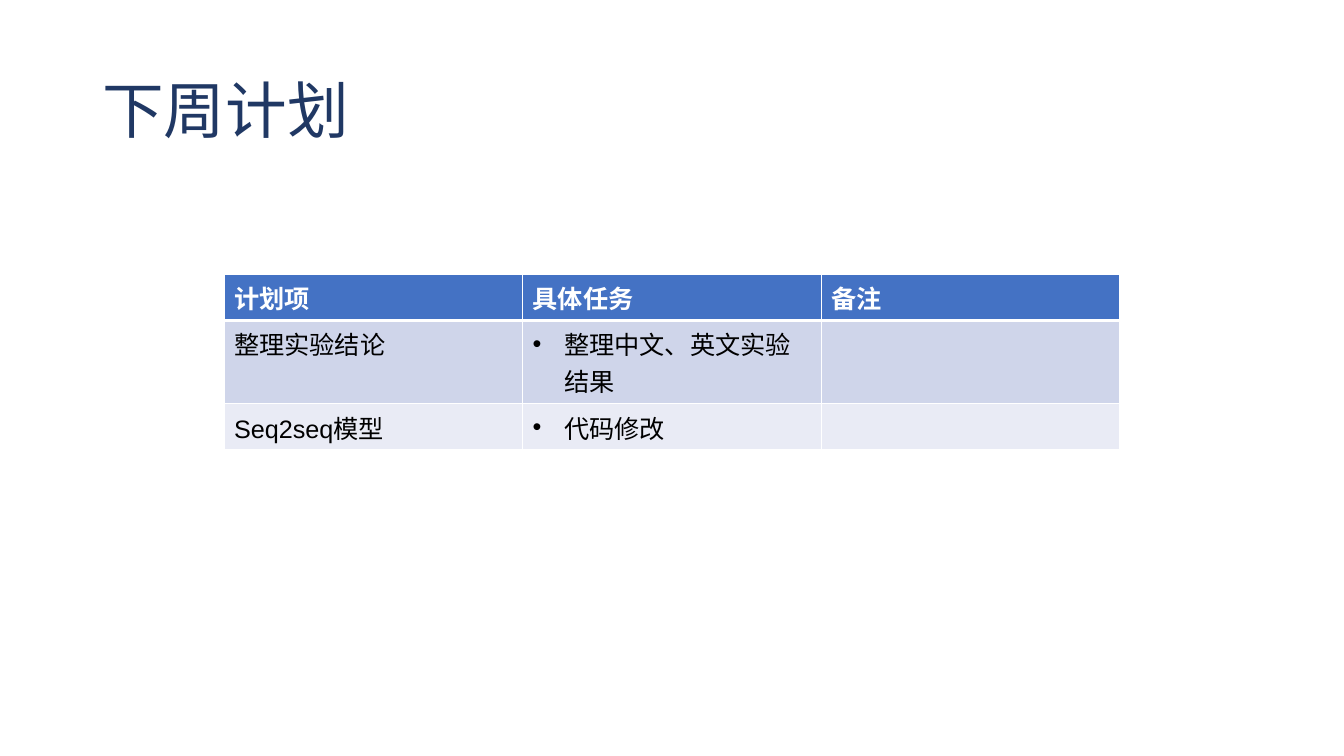
from lxml import etree
from pptx import Presentation
from pptx.dml.color import RGBColor
from pptx.enum.text import MSO_ANCHOR
from pptx.oxml.ns import qn
from pptx.util import Pt

MIDDLE = MSO_ANCHOR.MIDDLE
NAVY = RGBColor(0x20, 0x38, 0x64)
BLUE = RGBColor(0x44, 0x72, 0xC4)
BAND_DARK = RGBColor(0xCF, 0xD5, 0xEA)
BAND_LIGHT = RGBColor(0xE9, 0xEB, 0xF5)
WHITE = RGBColor(0xFF, 0xFF, 0xFF)
BLACK = RGBColor(0x00, 0x00, 0x00)

TASK_COLUMN = 1
PLAN = [
    ["计划项", "具体任务", "备注"],
    ["整理实验结论", "整理中文、英文实验结果", ""],
    ["Seq2seq模型", "代码修改", ""],
]
ROW_HEIGHTS = [Pt(33), Pt(59.5), Pt(32.5)]


class PlanSlide:
    title_font = "Times New Roman"
    body_font = "Arial"
    title_size = Pt(44)
    body_size = Pt(18)
    bullet_indent = Pt(22.5)

    def __init__(self, prs):
        self.s = prs.slides.add_slide(prs.slide_layouts[6])

    def run(self, p, text, font, size, color, bold=False):
        r = p.add_run()
        r.text = text
        r.font.name = font
        r.font.size = size
        r.font.bold = bold
        r.font.color.rgb = color

    def title(self, text, x, y, w, h):
        tf = self.s.shapes.add_textbox(x, y, w, h).text_frame
        tf.word_wrap = True
        tf.vertical_anchor = MIDDLE
        p = tf.paragraphs[0]
        p.line_spacing = 0.9
        self.run(p, text, self.title_font, self.title_size, NAVY)

    def bullet(self, p):
        pPr = p._p.get_or_add_pPr()
        pPr.set("marL", str(self.bullet_indent))
        pPr.set("indent", str(-self.bullet_indent))
        etree.SubElement(pPr, qn("a:buFont")).set("typeface", self.body_font)
        etree.SubElement(pPr, qn("a:buChar")).set("char", "•")

    def borders(self, cell, **widths):
        """Draw white borders; widths maps L, R, T, B to points, in that order."""
        tcPr = cell._tc.get_or_add_tcPr()
        for side, width in widths.items():
            ln = etree.SubElement(tcPr, qn(f"a:ln{side}"), w=str(Pt(width)))
            fill = etree.SubElement(ln, qn("a:solidFill"))
            etree.SubElement(fill, qn("a:srgbClr"), val=str(WHITE))

    def table(self, rows, heights, x, y, w):
        shape = self.s.shapes.add_table(len(rows), len(rows[0]), x, y, w, sum(heights))
        for i, (row, height) in enumerate(zip(rows, heights)):
            shape.table.rows[i].height = height
            header = i == 0
            fill = BLUE if header else (BAND_LIGHT, BAND_DARK)[i % 2]
            for j, text in enumerate(row):
                cell = shape.table.cell(i, j)
                self.borders(cell, L=1, R=1, T=3 if i == 1 else 1, B=3 if header else 1)
                cell.fill.solid()
                cell.fill.fore_color.rgb = fill
                p = cell.text_frame.paragraphs[0]
                if text:
                    if j == TASK_COLUMN and not header:
                        self.bullet(p)
                    self.run(p, text, self.body_font, self.body_size,
                             WHITE if header else BLACK, header)


def main():
    prs = Presentation()
    prs.slide_width, prs.slide_height = Pt(960), Pt(540)
    slide = PlanSlide(prs)
    slide.title("下周计划", Pt(66), Pt(28.75), Pt(828), Pt(104.4))
    slide.table(PLAN, ROW_HEIGHTS, Pt(160), Pt(196), Pt(640))
    prs.save("out.pptx")


if __name__ == "__main__":
    main()
